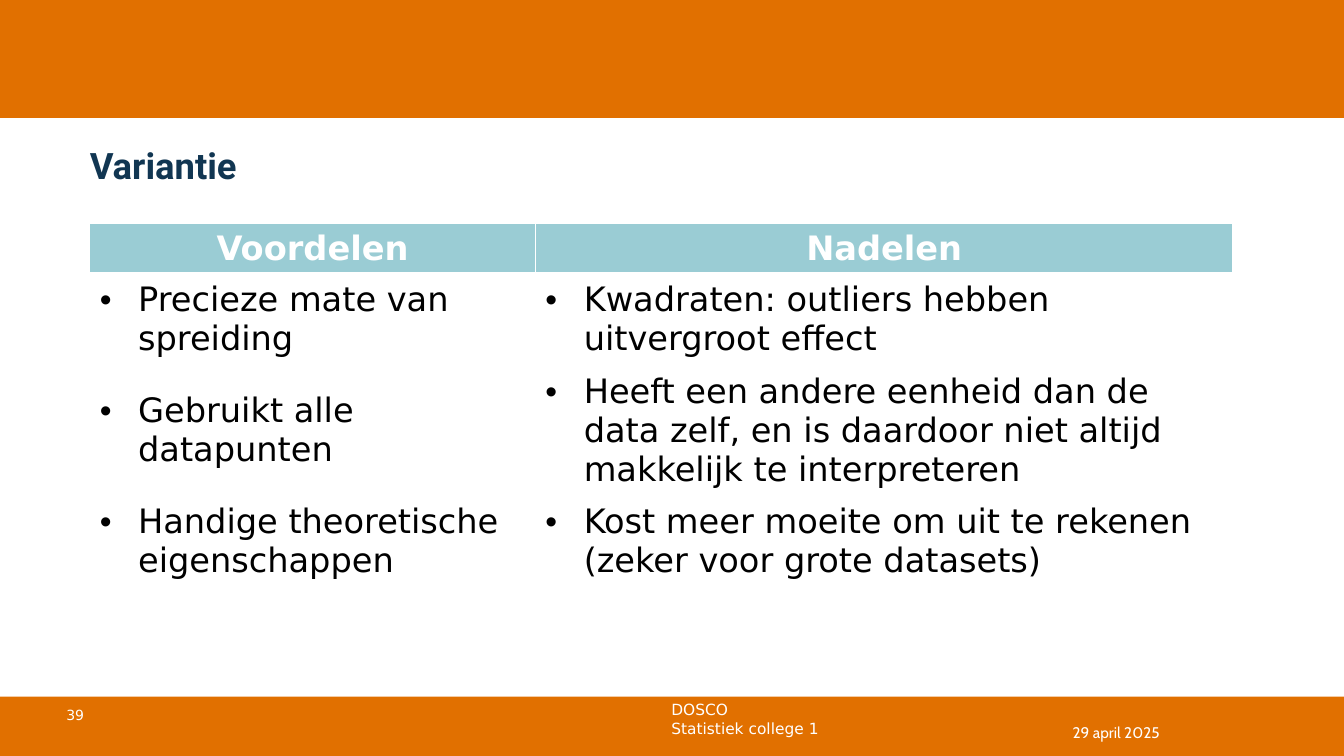
import pptx
import pptx.util
import pptx.dml.color
import pptx.enum.shapes
import pptx.enum.text
import pptx.oxml
import pptx.oxml.ns

W, H = 13.33, 7.5
ORANGE, NAVY, TEAL, WHITE, BLACK = "E17000", "113652", "9ACCD4", "FFFFFF", "000000"
BODY_FONT = "DejaVu Sans"
MARGIN, INDENT = 0.89, 0.38

TITLE = "Variantie"
BANDS = [(0.92 * H + 0.01, 0.59), (0, 1.17)]  # top, height
HEADERS = ["Voordelen", "Nadelen"]
ROWS = [
    ("Precieze mate van spreiding", "Kwadraten: outliers hebben uitvergroot effect"),
    ("Gebruikt alle datapunten",
     "Heeft een andere eenheid dan de data zelf, en is daardoor niet altijd "
     "makkelijk te interpreteren"),
    ("Handige theoretische eigenschappen",
     "Kost meer moeite om uit te rekenen (zeker voor grote datasets)"),
]
COL_WIDTHS, ROW_HEIGHT = [4.42, 6.92], 0.41
TOP, MIDDLE = pptx.enum.text.MSO_ANCHOR.TOP, pptx.enum.text.MSO_ANCHOR.MIDDLE
FOOTERS = [  # lines, box, size, font, anchor
    (["DOSCO", "Statistiek college 1"], (6.56, 6.9, 6.07, 0.31), 11, BODY_FONT, TOP),
    (["39"], (0.56, 6.96, 1.04, 0.4), 10, BODY_FONT, TOP),
    (["29 april 2025"], (10.54, 7.07, 2.43, 0.4), 11, "Cabin", MIDDLE),
]


def rgb(value):
    return pptx.dml.color.RGBColor.from_string(value)


def inches(*values):
    return [pptx.util.Inches(v) for v in values]


def element(xml):
    return pptx.oxml.parse_xml(xml.replace(" ", f" {pptx.oxml.ns.nsdecls('a')} ", 1))


def write(p, text, size, color, font=BODY_FONT, bold=False, center=False, bullet=False):
    align = pptx.enum.text.PP_ALIGN
    p.alignment = align.CENTER if center else align.LEFT
    p.line_spacing = 1.0
    if bullet:
        pPr = p._p.get_or_add_pPr()
        pPr.set("marL", str(pptx.util.Inches(INDENT)))
        pPr.set("indent", str(-pptx.util.Inches(INDENT)))
        pPr.append(element('<a:buFont typeface="Arial"/>'))
        pPr.append(element('<a:buChar char="•"/>'))
    r = p.add_run()
    r.text = text
    r.font.size = pptx.util.Pt(size)
    r.font.name = font
    r.font.bold = bold
    r.font.color.rgb = rgb(color)


def add_borders(cell, bottom):
    tcPr = cell._tc.get_or_add_tcPr()
    widths = {"lnL": 1, "lnR": 1, "lnT": 1, "lnB": bottom}
    for i, (side, width) in enumerate(widths.items()):
        tcPr.insert(i, element(
            f'<a:{side} w="{pptx.util.Pt(width)}"><a:solidFill>'
            f'<a:srgbClr val="{WHITE}"/></a:solidFill></a:{side}>'))


def add_table(s):
    size = inches(MARGIN, 2.22, sum(COL_WIDTHS), ROW_HEIGHT * (len(ROWS) + 1))
    table = s.shapes.add_table(len(ROWS) + 1, len(HEADERS), *size).table
    table.horz_banding = False
    for column, width in zip(table.columns, COL_WIDTHS):
        column.width = pptx.util.Inches(width)
    for i, texts in enumerate([HEADERS, *ROWS]):
        table.rows[i].height = pptx.util.Inches(ROW_HEIGHT)
        head = i == 0
        for j, text in enumerate(texts):
            cell = table.cell(i, j)
            cell.vertical_anchor = TOP if head else MIDDLE
            if head:
                cell.fill.solid()
                cell.fill.fore_color.rgb = rgb(TEAL)
            else:
                cell.fill.background()
            add_borders(cell, 3 if head else 1)
            write(cell.text_frame.paragraphs[0], text, 24, WHITE if head else BLACK,
                  bold=head, center=head, bullet=not head)


def main():
    prs = pptx.Presentation()
    prs.slide_width, prs.slide_height = inches(W, H)
    s = prs.slides.add_slide(prs.slide_layouts[5])

    for top, height in BANDS:
        band = s.shapes.add_shape(pptx.enum.shapes.MSO_SHAPE.RECTANGLE,
                                  *inches(0, top, W, height))
        band.shadow.inherit = False
        band.fill.solid()
        band.fill.fore_color.rgb = rgb(ORANGE)
        band.line.fill.background()

    title = s.shapes.title
    title.left, title.top, title.width, title.height = inches(MARGIN, 1.42, 11.33, 0.43)
    tf = title.text_frame
    tf.margin_left = tf.margin_top = tf.margin_right = tf.margin_bottom = 0
    tf.vertical_anchor = TOP
    tf.auto_size = pptx.enum.text.MSO_AUTO_SIZE.SHAPE_TO_FIT_TEXT
    write(tf.paragraphs[0], TITLE, 26, NAVY, font="Roboto", bold=True)

    add_table(s)

    for lines, box, size, font, anchor in FOOTERS:
        tf = s.shapes.add_textbox(*inches(*box)).text_frame
        tf.word_wrap = True
        tf.vertical_anchor = anchor
        for i, line in enumerate(lines):
            p = tf.add_paragraph() if i else tf.paragraphs[0]
            write(p, line, size, WHITE, font=font)

    prs.save("out.pptx")


if __name__ == "__main__":
    main()
